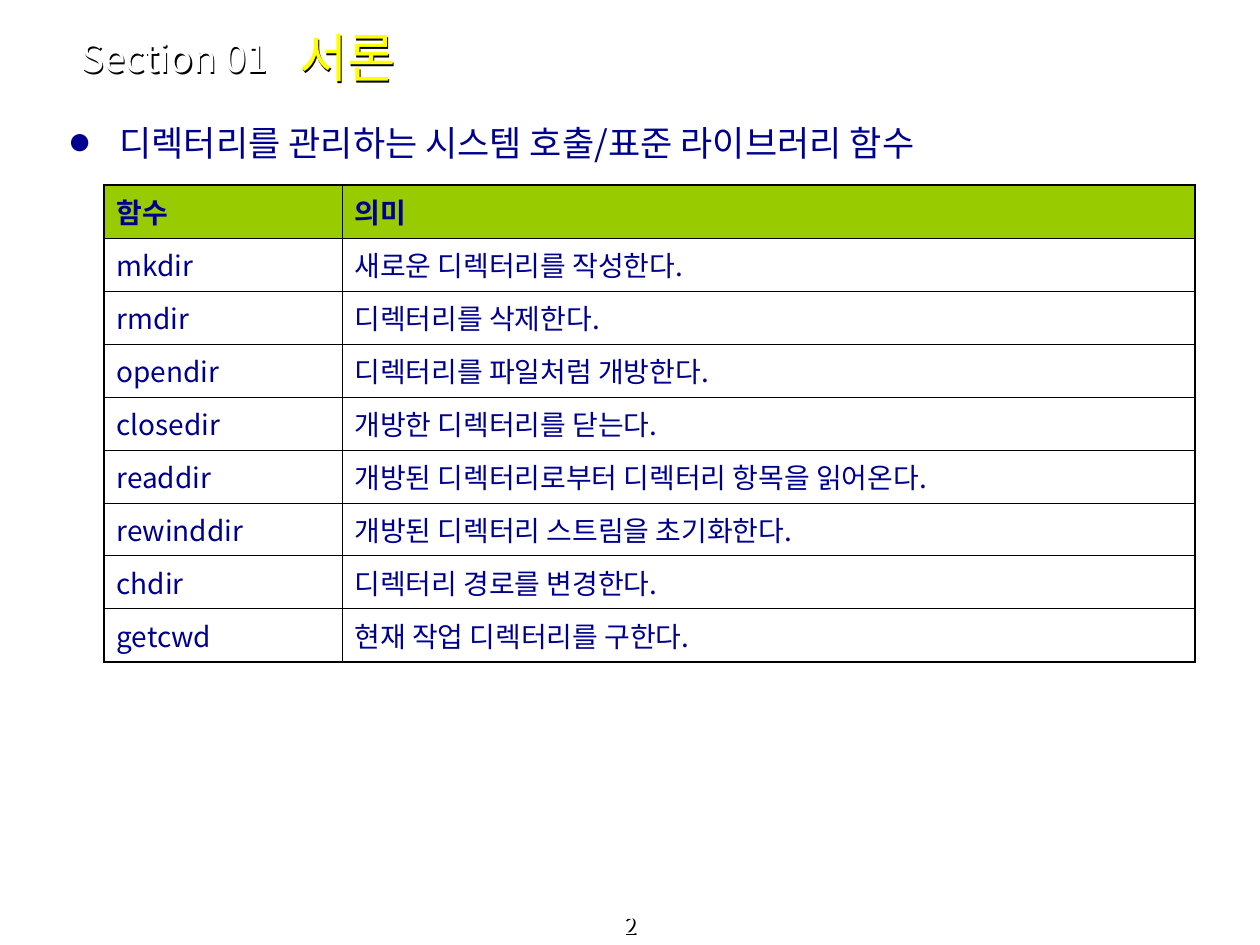
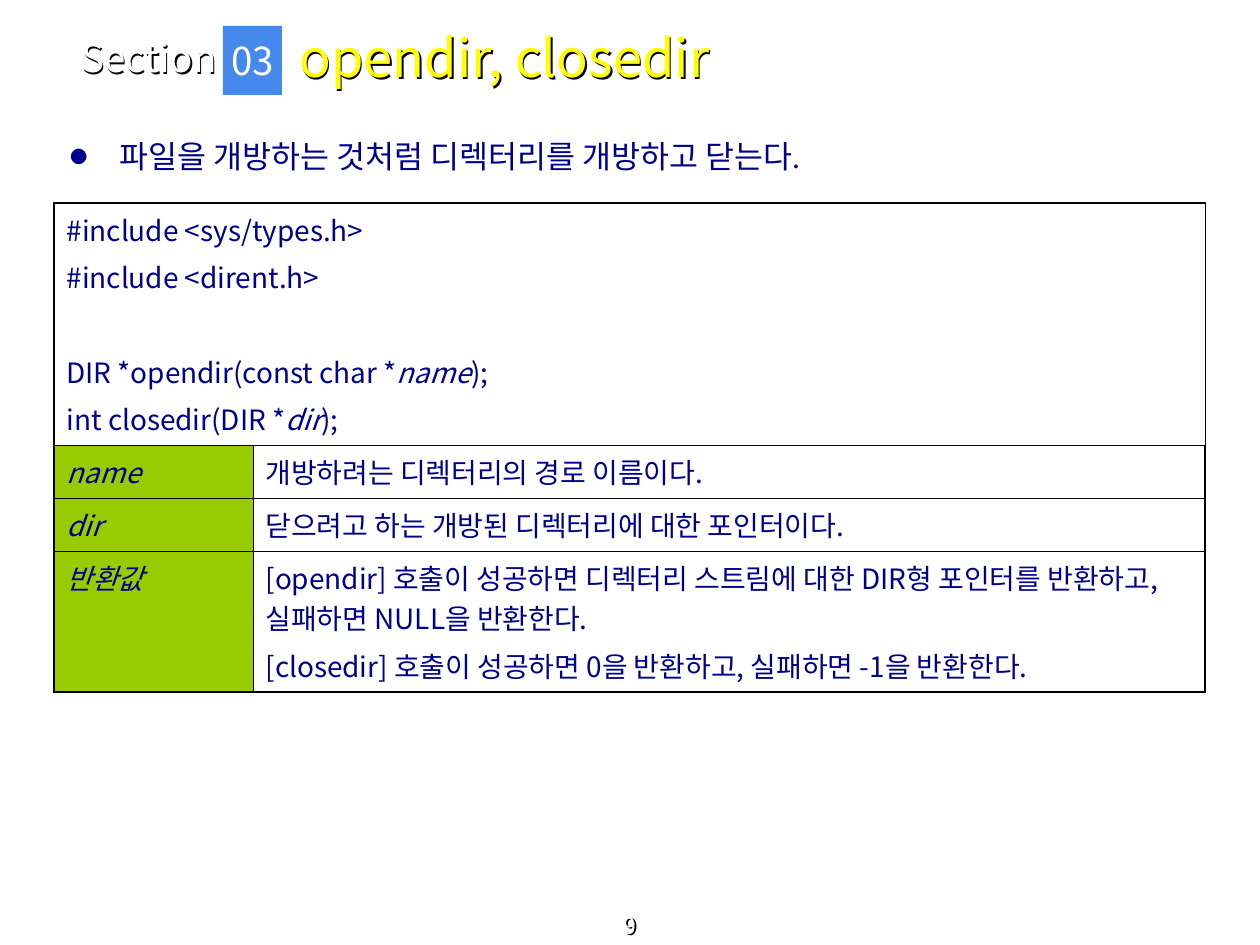
from lxml import etree
from pptx import Presentation
from pptx.dml.color import RGBColor
from pptx.enum.shapes import MSO_SHAPE
from pptx.enum.text import MSO_ANCHOR, PP_ALIGN
from pptx.oxml.ns import qn
from pptx.util import Emu, Pt

TOP, MIDDLE, BOTTOM = MSO_ANCHOR.TOP, MSO_ANCHOR.MIDDLE, MSO_ANCHOR.BOTTOM
LEFT, CENTER = PP_ALIGN.LEFT, PP_ALIGN.CENTER
RECT = MSO_SHAPE.RECTANGLE

FONT = "Noto Sans CJK KR"
NAVY, GREEN, BLUE = "00008E", "99CC00", "4589ED"
WHITE, YELLOW, BLACK = "FFFFFF", "FFFF00", "000000"
THICK, THIN = 1.08, 0.45
WIDE, HIGH = 1260, 945


def px(n):
    return Emu(round(n * 914400 / 126))


def rgb(code):
    return RGBColor.from_string(code)


def add(parent, tag, **attrs):
    node = etree.SubElement(parent, qn(tag))
    for key, value in attrs.items():
        node.set(key, str(value))
    return node


def write(frame, text, size=16, color=NAVY, bold=False, italic=False,
          align=LEFT, gap=4, gaps=None, line=None, bullet=False):
    """Text is lines; a line is a string or a list of (string, format) runs."""
    lines = [text] if isinstance(text, str) else text
    for i, parts in enumerate(lines):
        para = frame.paragraphs[0] if i == 0 else frame.add_paragraph()
        para.alignment = align
        if i:
            para.space_before = Pt((gaps or {}).get(i, gap))
        if line:
            para.line_spacing = line
        if bullet:
            mark(para, color)
        if isinstance(parts, str):
            parts = [(parts, {})]
        for word, form in parts:
            run = para.add_run()
            run.text = word
            font = run.font
            font.size = Pt(form.get("size", size))
            font.bold = bold
            font.italic = form.get("italic", italic)
            font.color.rgb = rgb(color)
            font.name = FONT
            add(run._r.get_or_add_rPr(), "a:ea", typeface=FONT)


def mark(para, color):
    """Hang a round bullet in front of the paragraph."""
    props = para._p.get_or_add_pPr()
    props.set("marL", str(px(65)))
    props.set("indent", str(-px(49)))
    add(add(props, "a:buClr"), "a:srgbClr", val=color)
    add(props, "a:buSzPct", val=55000)
    add(props, "a:buFont", typeface=FONT)
    add(props, "a:buChar", char="●")


class Deck:
    def __init__(self):
        self.prs = Presentation()
        self.prs.slide_width, self.prs.slide_height = px(WIDE), px(HIGH)
        self.slide = None

    def page(self, title, number, section):
        """Start a slide with its section label, title and page number."""
        self.slide = self.prs.slides.add_slide(self.prs.slide_layouts[6])
        self.text(6, 917, WIDE - 12, 28, number, anchor=BOTTOM, shade=True,
                  size=13, color=WHITE, align=CENTER)
        self.text(69, 34, 243, 47, section, anchor=MIDDLE, shade=True,
                  size=22, color=WHITE)
        self.text(287, 14, 818, 86, title, anchor=MIDDLE, shade=True,
                  size=30, color=YELLOW)

    def text(self, x, y, w, h, text, anchor=TOP, shade=False, **form):
        box = self.slide.shapes.add_textbox(px(x), px(y), px(w), px(h))
        box.fill.background()
        frame = box.text_frame
        frame.word_wrap = True
        frame.vertical_anchor = anchor
        write(frame, text, **form)
        if shade:
            self.shade(box)

    def shade(self, box):
        """Cast a crisp black shadow from the letters."""
        effects = add(box._element.spPr, "a:effectLst")
        cast = add(effects, "a:outerShdw", blurRad=0, dist=px(2),
                   dir=2700000, algn="tl", rotWithShape=0)
        add(cast, "a:srgbClr", val=BLACK)

    def badge(self, x, y, w, h, text):
        box = self.slide.shapes.add_shape(RECT, px(x), px(y), px(w), px(h))
        box.shadow.inherit = False
        box.fill.solid()
        box.fill.fore_color.rgb = rgb(BLUE)
        box.line.fill.background()
        frame = box.text_frame
        frame.word_wrap = False
        frame.vertical_anchor = MIDDLE
        write(frame, text, size=22, color=WHITE, align=CENTER)

    def grid(self, x, y, cols, rows):
        """Add a ruled table with an outer frame and return it."""
        frame = self.slide.shapes.add_table(
            len(rows), len(cols), px(x), px(y), px(sum(cols)), px(sum(rows)))
        table = frame.table
        table.first_row = table.horz_banding = False
        for col, w in zip(table.columns, cols):
            col.width = px(w)
        for row, h in zip(table.rows, rows):
            row.height = px(h)
        for r in range(len(rows)):
            for c in range(len(cols)):
                cell = table.cell(r, c)
                self.rule(cell, L=c == 0, R=c == len(cols) - 1,
                          T=r == 0, B=r == len(rows) - 1)
                cell.fill.background()
        return table

    def rule(self, cell, **sides):
        props = cell._tc.get_or_add_tcPr()
        for side, outer in sides.items():
            line = add(props, "a:ln" + side, w=Pt(THICK if outer else THIN))
            add(add(line, "a:solidFill"), "a:srgbClr", val=BLACK)

    def cell(self, table, r, c, text, fill=None, **form):
        cell = table.cell(r, c)
        if fill:
            cell.fill.solid()
            cell.fill.fore_color.rgb = rgb(fill)
        write(cell.text_frame, text, **form)


def intro(deck):
    deck.page("서론", "2", "Section 01")
    deck.text(42, 115, 1176, 59, "디렉터리를 관리하는 시스템 호출/표준 라이브러리 함수",
              size=20, bullet=True)

    # Functions and their meaning
    calls = [
        ("함수", "의미"),
        ("mkdir", "새로운 디렉터리를 작성한다."),
        ("rmdir", "디렉터리를 삭제한다."),
        ("opendir", "디렉터리를 파일처럼 개방한다."),
        ("closedir", "개방한 디렉터리를 닫는다."),
        ("readdir", "개방된 디렉터리로부터 디렉터리 항목을 읽어온다."),
        ("rewinddir", "개방된 디렉터리 스트림을 초기화한다."),
        ("chdir", "디렉터리 경로를 변경한다."),
        ("getcwd", "현재 작업 디렉터리를 구한다."),
    ]
    table = deck.grid(104, 185, [238, 853], [53] * len(calls))
    for r, row in enumerate(calls):
        for c, text in enumerate(row):
            deck.cell(table, r, c, text, fill=None if r else GREEN,
                      bold=r == 0)


def usage(deck):
    deck.page("opendir, closedir", "9", "Section")
    deck.badge(223, 26, 59, 69, "03")
    deck.text(42, 135, 1176, 49,
              [[("파일을 개방하는 것처럼 디렉터리를 개방하고 닫는다", {}),
                (".", {"size": 16})]],
              size=18, line=0.9, bullet=True)

    # Prototypes across the top row
    slant = {"italic": True}
    code = [
        "#include <sys/types.h>",
        "#include <dirent.h>",
        [("DIR *opendir(const char *", {}), ("name", slant), (");", {})],
        [("int closedir(DIR *", {}), ("dir", slant), (");", {})],
    ]
    table = deck.grid(54, 203, [199, 952], [242, 53, 53, 141])
    table.cell(0, 0).merge(table.cell(0, 1))
    deck.cell(table, 0, 0, code, gaps={2: 31})

    # Arguments and result
    notes = [
        ("name", "개방하려는 디렉터리의 경로 이름이다."),
        ("dir", "닫으려고 하는 개방된 디렉터리에 대한 포인터이다."),
        ("반환값", [
            "[opendir] 호출이 성공하면 디렉터리 스트림에 대한 DIR형 포인터를 "
            "반환하고, 실패하면 NULL을 반환한다.",
            "[closedir] 호출이 성공하면 0을 반환하고, 실패하면 -1을 반환한다."]),
    ]
    for r, (name, text) in enumerate(notes, 1):
        deck.cell(table, r, 0, name, fill=GREEN, italic=True)
        deck.cell(table, r, 1, text)


def main():
    deck = Deck()
    intro(deck)
    usage(deck)
    deck.prs.save("out.pptx")


if __name__ == "__main__":
    main()
